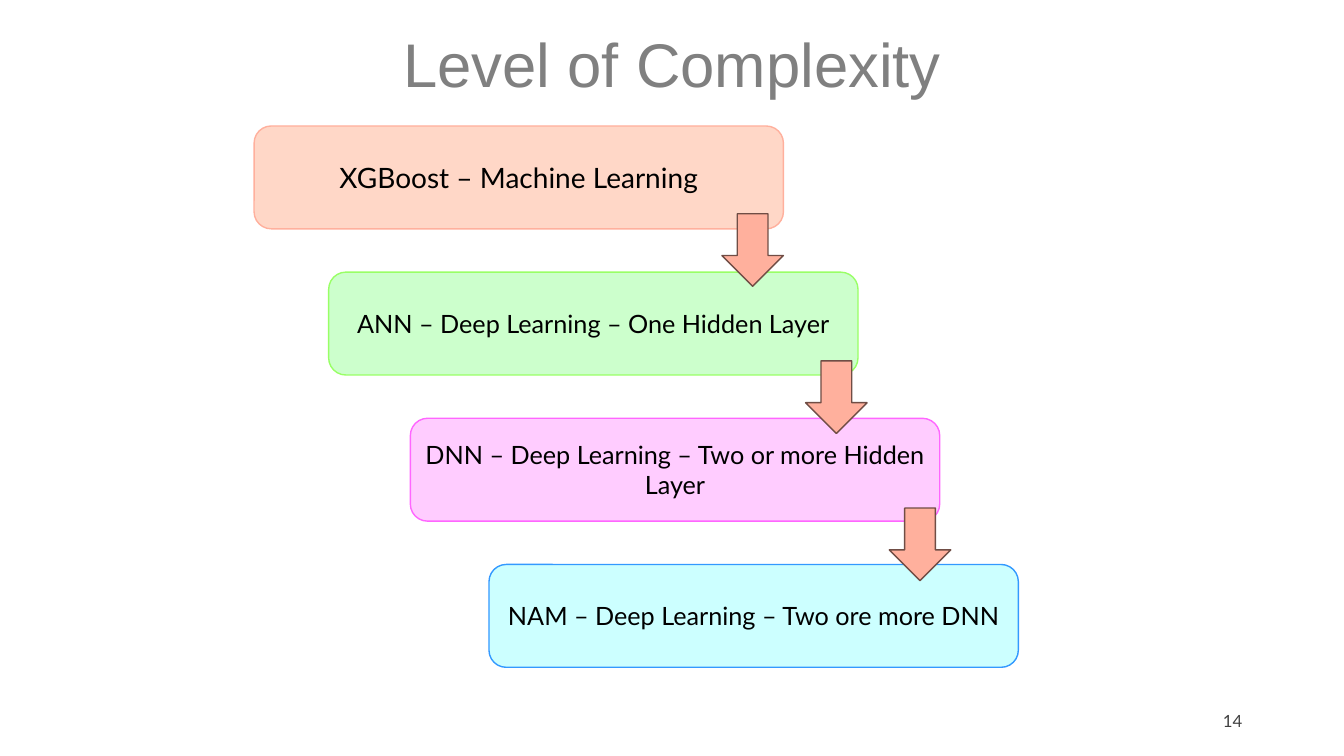
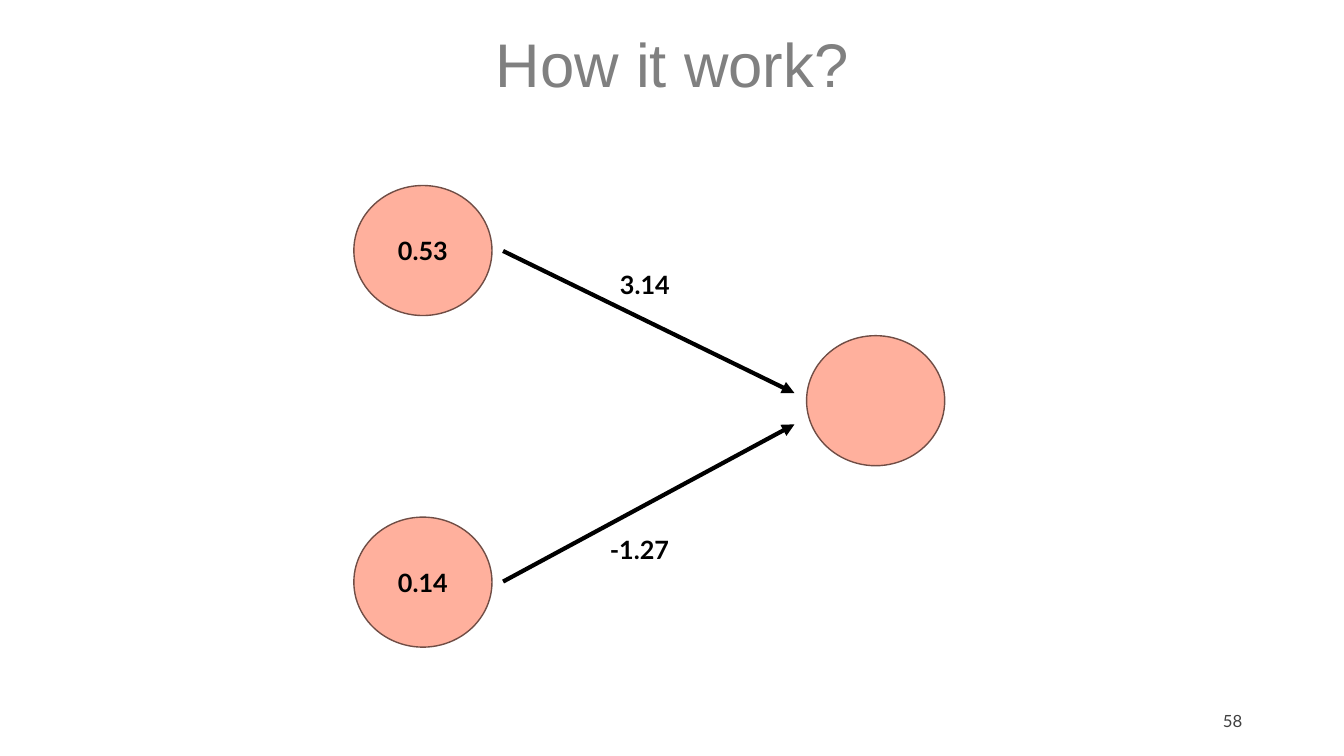
"""Build two slides on model complexity and network weights."""
from dataclasses import dataclass

from lxml.etree import SubElement
from pptx import Presentation
from pptx.dml.color import RGBColor
from pptx.enum.shapes import MSO_CONNECTOR, MSO_SHAPE
from pptx.enum.text import MSO_ANCHOR, MSO_AUTO_SIZE, PP_ALIGN
from pptx.oxml.ns import qn
from pptx.util import Pt

SCALE = 9144
BLACK = "000000"
CORAL = "FFB09D"
BROWN = "704D45"
GRAY = "808080"
DARK = "404040"


@dataclass(frozen=True)
class Step:
    text: str
    left: int
    fill: str
    edge: str
    size: int = 18


@dataclass(frozen=True)
class Node:
    left: int
    top: int
    text: str = ""


@dataclass(frozen=True)
class Link:
    start: tuple[int, int]
    end: tuple[int, int]
    text: str
    left: int
    top: int


STEPS = (
    Step("XGBoost – Machine Learning", 252, "FFD7C7", CORAL, 20),
    Step("ANN – Deep Learning – One Hidden Layer", 326, "CCFFCC", "99FF66"),
    Step("DNN – Deep Learning – Two or more Hidden Layer", 407, "FFCCFF", "FF66FF"),
    Step("NAM – Deep Learning – Two ore more DNN", 485, "CCFFFF", "3399FF"),
)
NODES = (Node(800, 333), Node(351, 184, "0.53"), Node(351, 513, "0.14"))
LINKS = (
    Link((499, 249), (788, 390), "3.14", 605, 262),
    Link((499, 577), (788, 421), "-1.27", 595, 525),
)


def px(*sizes: int) -> list[int]:
    return [size * SCALE for size in sizes]


def paint(code: str) -> RGBColor:
    return RGBColor.from_string(code)


def write(shape, text: str, *, size: int = 18, font: str = "Lato",
          color: str = BLACK, bold: bool = False, align=PP_ALIGN.CENTER,
          anchor=MSO_ANCHOR.MIDDLE, space: float | None = None) -> None:
    frame = shape.text_frame
    frame.word_wrap = True
    frame.vertical_anchor = anchor
    para = frame.paragraphs[0]
    para.alignment = align
    para.line_spacing = space
    run = para.add_run()
    run.text = text
    run.font.size = Pt(size)
    run.font.name = font
    run.font.bold = bold
    run.font.color.rgb = paint(color)


def label(slide, box: tuple[int, int, int, int], text: str, **form):
    shape = slide.shapes.add_textbox(*px(*box))
    write(shape, text, **form)
    return shape


def draw(slide, kind, box: tuple[int, int, int, int],
         fill: str = CORAL, edge: str = BROWN):
    shape = slide.shapes.add_shape(kind, *px(*box))
    shape.shadow.inherit = False
    shape.fill.solid()
    shape.fill.fore_color.rgb = paint(fill)
    shape.line.color.rgb = paint(edge)
    shape.line.width = Pt(1)
    return shape


def join(slide, link: Link) -> None:
    line = slide.shapes.add_connector(
        MSO_CONNECTOR.STRAIGHT, *px(*link.start, *link.end))
    line.line.color.rgb = paint(BLACK)
    line.line.width = Pt(3)
    props = line.element.spPr
    SubElement(props.find(qn("a:ln")), qn("a:tailEnd"), type="triangle")
    SubElement(props, qn("a:effectLst"))
    tag = label(slide, (link.left, link.top, 111, 40), link.text, bold=True,
                align=PP_ALIGN.LEFT, anchor=MSO_ANCHOR.TOP)
    tag.text_frame.auto_size = MSO_AUTO_SIZE.SHAPE_TO_FIT_TEXT


def start(deck, title: str, number: int):
    slide = deck.slides.add_slide(deck.slide_layouts[6])
    label(slide, (92, -6, 1150, 145), title, size=44, font="Arial",
          color=GRAY, space=0.9)
    label(slide, (942, 695, 300, 40), str(number), size=12, color=DARK,
          align=PP_ALIGN.RIGHT)
    return slide


def stairs(deck) -> None:
    slide = start(deck, "Level of Complexity", 14)
    for row, step in enumerate(STEPS):
        box = (step.left, 125 + 145 * row, 525, 102)
        shape = draw(slide, MSO_SHAPE.ROUNDED_RECTANGLE, box, step.fill, step.edge)
        write(shape, step.text, size=step.size)
    for row in range(len(STEPS) - 1):
        draw(slide, MSO_SHAPE.DOWN_ARROW, (716 + 83 * row, 212 + 146 * row, 61, 72))


def network(deck) -> None:
    slide = start(deck, "How it work?", 58)
    for node in NODES:
        shape = draw(slide, MSO_SHAPE.FLOWCHART_CONNECTOR,
                     (node.left, node.top, 137, 129))
        if node.text:
            write(shape, node.text, bold=True)
    for link in LINKS:
        join(slide, link)


def main() -> None:
    deck = Presentation()
    deck.slide_width, deck.slide_height = px(1333, 750)
    stairs(deck)
    network(deck)
    deck.save("out.pptx")


if __name__ == "__main__":
    main()
